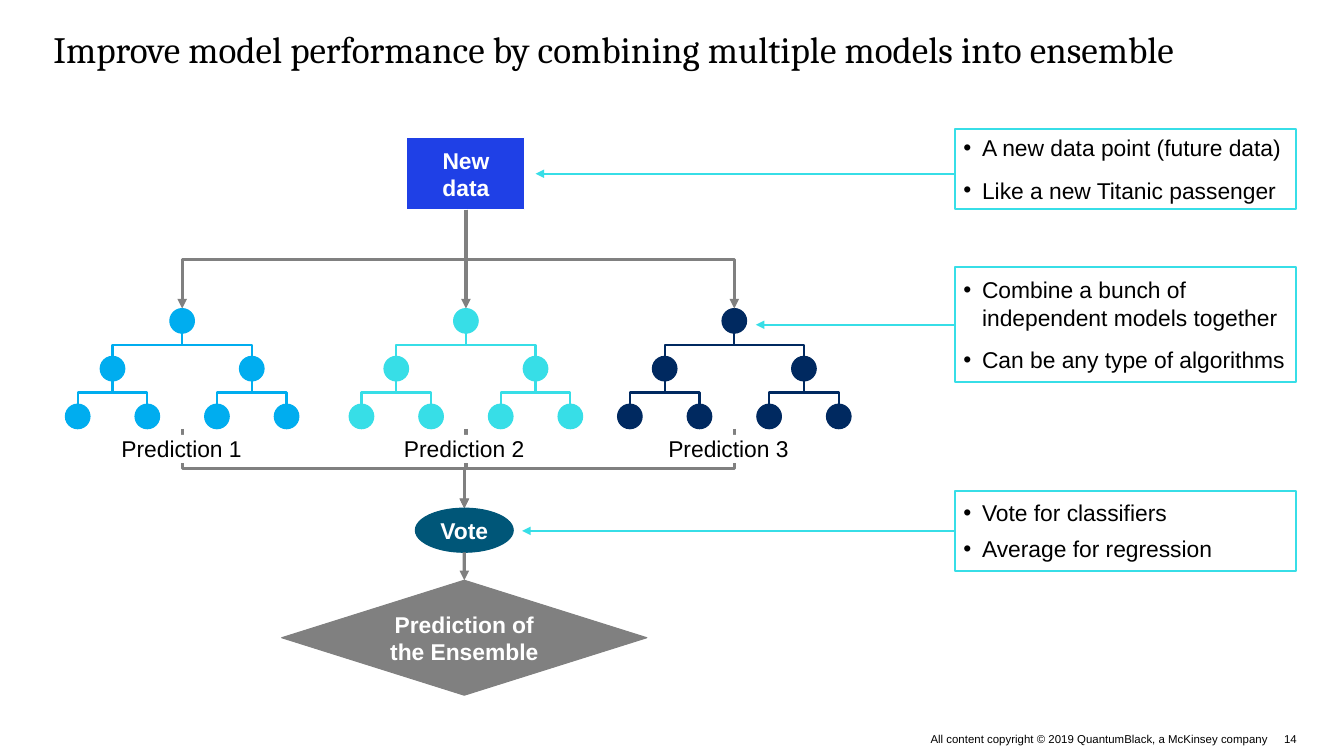
from dataclasses import dataclass
from typing import Any, Optional

from lxml.etree import SubElement
from pptx import Presentation
from pptx.dml.color import RGBColor
from pptx.enum.shapes import MSO_CONNECTOR as Line, MSO_SHAPE as Preset
from pptx.enum.text import MSO_ANCHOR as Anchor, PP_ALIGN as Align
from pptx.oxml.ns import qn
from pptx.util import Cm, Pt

BLACK = RGBColor(0x00, 0x00, 0x00)
WHITE = RGBColor(0xFF, 0xFF, 0xFF)
BLUE = RGBColor(0x1F, 0x40, 0xE6)
SKY = RGBColor(0x00, 0xAD, 0xEF)
CYAN = RGBColor(0x37, 0xDE, 0xE7)
NAVY = RGBColor(0x00, 0x29, 0x60)
TEAL = RGBColor(0x00, 0x56, 0x78)
GRAY = RGBColor(0x80, 0x80, 0x80)

TITLE = {"name": "Cambria", "size": Pt(26)}
BODY = {"name": "Arial", "size": Pt(16)}
NODE = {"name": "Arial", "size": Pt(16), "bold": True}
FOOTER = {"name": "Arial", "size": Pt(8)}

DIAMETER = 0.61
ROOT_TOP = 7.62
LEVEL_STEP = 1.18
CHILD_OFFSET = 1.72
LEAF_OFFSET = 0.86
TREE_BOTTOM = ROOT_TOP + 2 * LEVEL_STEP + DIAMETER


@dataclass
class Box:
    left: float
    top: float
    width: float
    height: float

    @property
    def center(self) -> float:
        return self.left + self.width / 2

    @property
    def bottom(self) -> float:
        return self.top + self.height

    def lengths(self) -> list[Cm]:
        return [Cm(value) for value in (self.left, self.top, self.width, self.height)]


@dataclass
class Tree:
    label: str
    center: float
    label_left: float
    color: RGBColor


@dataclass
class Callout:
    box: Box
    bullets: list[str]
    space_before: float
    target_x: float
    arrow_y: Optional[float] = None


NEW_DATA = Box(10.05, 3.4, 2.92, 1.78)
VOTE = Box(10.26, 12.55, 2.42, 1.09)
ENSEMBLE = Box(6.96, 14.33, 9.02, 2.84)

TREES = [
    Tree("Prediction 1", 4.5, 3.0, SKY),
    Tree("Prediction 2", 11.51, 9.98, CYAN),
    Tree("Prediction 3", 18.14, 16.51, NAVY),
]

CALLOUTS = [
    Callout(Box(23.6, 3.18, 8.41, 1.98),
            ["A new data point (future data)", "Like a new Titanic passenger"], 4.5, 13.23, 4.29),
    Callout(Box(23.6, 6.6, 8.41, 2.84),
            ["Combine a bunch of independent models together", "Can be any type of algorithms"],
            4.5, 18.67),
    Callout(Box(23.6, 12.12, 8.41, 1.98),
            ["Vote for classifiers", "Average for regression"], 0, 12.9),
]


def add_run(paragraph: Any, text: str, font_format: dict, color: RGBColor) -> None:
    run = paragraph.add_run()
    run.text = text
    for name, value in font_format.items():
        setattr(run.font, name, value)
    run.font.color.rgb = color


def set_frame(shape: Any, inset: float, anchor: Anchor, wrap: bool = True) -> Any:
    frame = shape.text_frame
    for side in ("left", "top", "right", "bottom"):
        setattr(frame, f"margin_{side}", Cm(inset))
    frame.vertical_anchor = anchor
    frame.word_wrap = wrap
    return frame


def add_text(slide: Any, box: Box, text: str, font_format: dict, align: Align = Align.LEFT,
             anchor: Anchor = Anchor.TOP, wrap: bool = True) -> Any:
    shape = slide.shapes.add_textbox(*box.lengths())
    paragraph = set_frame(shape, 0, anchor, wrap).paragraphs[0]
    paragraph.alignment = align
    add_run(paragraph, text, font_format, BLACK)
    return shape


def add_box(slide: Any, preset: Preset, box: Box, fill: RGBColor, outline: RGBColor,
            line_width: float = 0.75) -> Any:
    shape = slide.shapes.add_shape(preset, *box.lengths())
    shape.shadow.inherit = False
    shape.fill.solid()
    shape.fill.fore_color.rgb = fill
    shape.line.color.rgb = outline
    shape.line.width = Pt(line_width)
    return shape


def add_node(slide: Any, preset: Preset, box: Box, text: str, fill: RGBColor,
             outline: RGBColor) -> Any:
    shape = add_box(slide, preset, box, fill, outline)
    paragraph = set_frame(shape, 0.25, Anchor.MIDDLE).paragraphs[0]
    paragraph.alignment = Align.CENTER
    add_run(paragraph, text, NODE, WHITE)
    return shape


def add_line(slide: Any, kind: Line, start: tuple[float, float], end: tuple[float, float],
             color: RGBColor, width: float, arrow: bool) -> Any:
    connector = slide.shapes.add_connector(kind, *[Cm(value) for value in (*start, *end)])
    connector.line.color.rgb = color
    connector.line.width = Pt(width)
    if arrow:
        SubElement(connector.line._get_or_add_ln(), qn("a:tailEnd"), type="triangle")
    SubElement(connector._element.spPr, qn("a:effectLst"))
    return connector


def add_elbow(slide: Any, start: tuple[float, float], end: tuple[float, float],
              color: RGBColor, width: float, arrow: bool = False) -> None:
    (x1, y1), (x2, y2) = start, end
    middle_x, middle_y = (x1 + x2) / 2, (y1 + y2) / 2
    half_drop = (y2 - y1) / 2 * (-1 if x2 > x1 else 1)
    half_shift = abs(x2 - x1) / 2
    connector = add_line(slide, Line.ELBOW, (middle_x - half_drop, middle_y - half_shift),
                         (middle_x + half_drop, middle_y + half_shift), color, width, arrow)
    degrees = 270 if x2 > x1 else 90
    connector._element.spPr.find(qn("a:xfrm")).set("rot", str(degrees * 60000))


def add_tree(slide: Any, tree: Tree) -> Any:
    def add_circle(center: float, level: int) -> Any:
        box = Box(center - DIAMETER / 2, ROOT_TOP + level * LEVEL_STEP, DIAMETER, DIAMETER)
        return add_box(slide, Preset.OVAL, box, tree.color, tree.color)

    def add_branches(center: float, level: int, offset: float) -> list[float]:
        parent_bottom = ROOT_TOP + level * LEVEL_STEP + DIAMETER
        children = [center - offset, center + offset]
        for child in children:
            add_circle(child, level + 1)
            add_elbow(slide, (center, parent_bottom),
                      (child, ROOT_TOP + (level + 1) * LEVEL_STEP), tree.color, 1.5)
        return children

    root = add_circle(tree.center, 0)
    for child in add_branches(tree.center, 0, CHILD_OFFSET):
        add_branches(child, 1, LEAF_OFFSET)
    return root


def add_callout(slide: Any, callout: Callout) -> None:
    box = callout.box
    shape = add_box(slide, Preset.RECTANGLE, box, WHITE, CYAN, 1.5)
    frame = set_frame(shape, 0.2, Anchor.MIDDLE)
    for index, text in enumerate(callout.bullets):
        paragraph = frame.add_paragraph() if index else frame.paragraphs[0]
        properties = paragraph._p.get_or_add_pPr()
        properties.set("marL", str(Cm(0.46)))
        properties.set("indent", str(-Cm(0.46)))
        SubElement(properties, qn("a:buFont"), typeface="Arial")
        SubElement(properties, qn("a:buChar"), char="•")
        paragraph.alignment = Align.LEFT
        paragraph.space_before = Pt(callout.space_before if index else 0)
        paragraph.space_after = Pt(6)
        add_run(paragraph, text, BODY, BLACK)
    arrow_y = callout.arrow_y or box.top + box.height / 2
    arrow = add_line(slide, Line.STRAIGHT, (box.left, arrow_y), (callout.target_x, arrow_y),
                     CYAN, 1.5, True)
    if callout.arrow_y is None:
        arrow.begin_connect(shape, 1)


def main() -> None:
    presentation = Presentation()
    presentation.slide_width, presentation.slide_height = Cm(33.2), Cm(18.67)
    slide = presentation.slides.add_slide(presentation.slide_layouts[6])

    add_text(slide, Box(1.32, 0.64, 30.68, 1.12),
             "Improve model performance by combining multiple models into ensemble", TITLE)
    add_text(slide, Box(22.83, 18.08, 8.5, 0.33),
             "All content copyright © 2019 QuantumBlack, a McKinsey company", FOOTER,
             Align.RIGHT, Anchor.MIDDLE)
    add_text(slide, Box(31.72, 18.08, 0.36, 0.33), "14", FOOTER, anchor=Anchor.MIDDLE, wrap=False)

    new_data = add_node(slide, Preset.RECTANGLE, NEW_DATA, "New data", BLUE, WHITE)
    ensemble = add_node(slide, Preset.FLOWCHART_DECISION, ENSEMBLE,
                        "Prediction of the Ensemble", GRAY, GRAY)
    for tree in TREES:
        root = add_tree(slide, tree)
        start, end = (NEW_DATA.center, NEW_DATA.bottom), (tree.center, ROOT_TOP)
        if abs(tree.center - NEW_DATA.center) < 0.01:
            trunk = add_line(slide, Line.STRAIGHT, start, end, GRAY, 2.25, True)
            trunk.begin_connect(new_data, 2)
            trunk.end_connect(root, 0)
        else:
            add_elbow(slide, start, end, GRAY, 2.25, True)
        add_elbow(slide, (tree.center, TREE_BOTTOM), (VOTE.center, VOTE.top), GRAY, 2.25, True)
    for tree in TREES:
        label = add_text(slide, Box(tree.label_left, 10.74, 3, 0.69), tree.label, BODY, wrap=False)
        label.fill.solid()
        label.fill.fore_color.rgb = WHITE

    add_node(slide, Preset.OVAL, VOTE, "Vote", TEAL, TEAL)
    result_arrow = add_line(slide, Line.STRAIGHT, (VOTE.center, VOTE.bottom),
                            (ENSEMBLE.center, ENSEMBLE.top), GRAY, 2.25, True)
    result_arrow.end_connect(ensemble, 0)
    for callout in CALLOUTS:
        add_callout(slide, callout)
    presentation.save("out.pptx")


if __name__ == "__main__":
    main()
